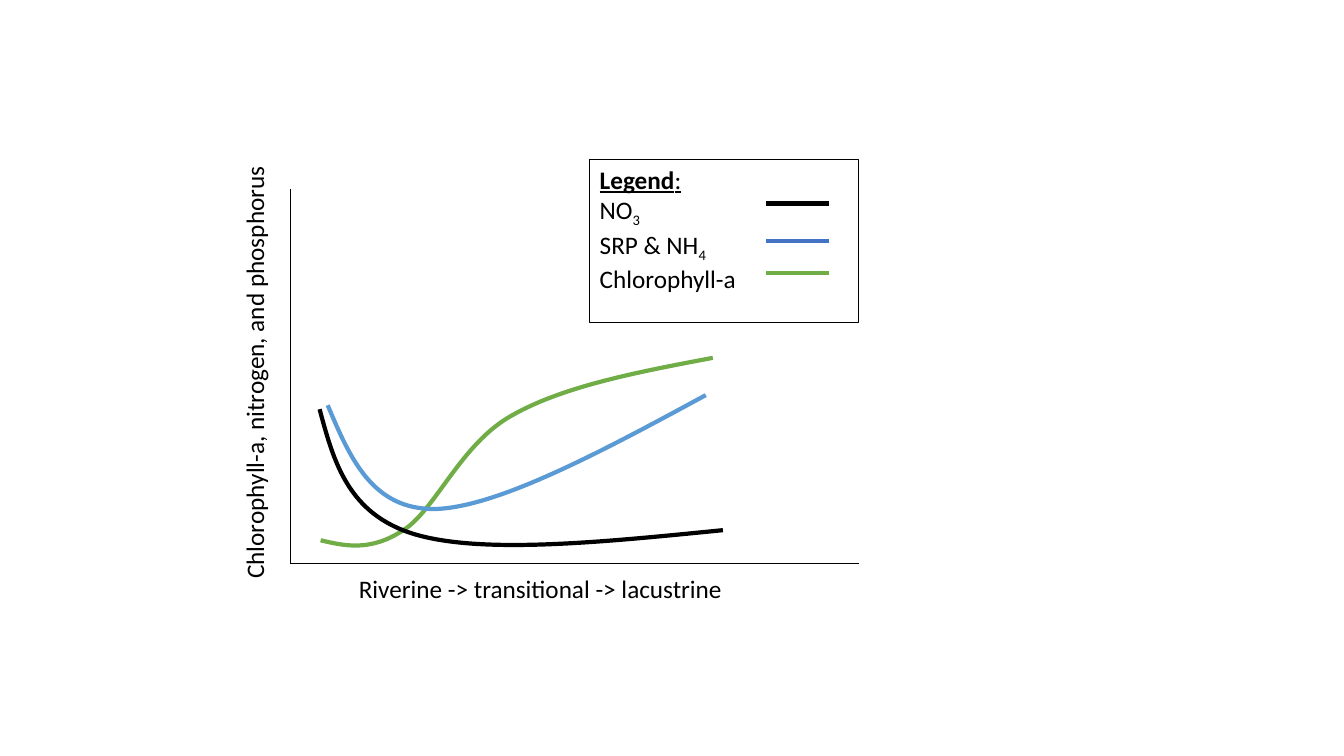
from lxml.etree import SubElement
from pptx import Presentation
from pptx.dml.color import RGBColor
from pptx.enum.shapes import MSO_CONNECTOR, MSO_SHAPE
from pptx.enum.text import MSO_ANCHOR, MSO_AUTO_SIZE, PP_ALIGN
from pptx.oxml.ns import qn
from pptx.util import Inches, Pt

COLORS = {
    "black": "000000",
    "white": "FFFFFF",
    "legend_blue": "4472C4",
    "curve_blue": "5B9BD5",
    "green": "70AD47",
}
FONT = "Calibri"
CURVE_WIDTH = 3
AXIS_WIDTH = 0.5
ORIGIN = (2.88, 5.59)
AXIS_TOP = 1.88
AXIS_RIGHT = 8.52
SWATCH_LEFT, SWATCH_RIGHT = 7.6, 8.22

LEGEND_LINES = [
    [("Legend", {"bold": True, "underline": True}), (":", {"underline": True})],
    [("NO", {}), ("3", {"baseline": -25})],
    [("SRP & NH", {}), ("4", {"baseline": -25})],
    [("Chlorophyll-a", {})],
]
SWATCHES = [(2.02, "black"), (2.39, "legend_blue"), (2.71, "green")]
CURVES = [
    ("green", [
        (3.18, 5.36), (3.43, 5.42), (3.68, 5.47), (4, 5.26), (4.32, 5.06),
        (4.57, 4.4), (5.08, 4.12), (5.59, 3.83), (6.33, 3.69), (7.07, 3.55)]),
    ("black", [
        (3.17, 4.06), (3.31, 4.58), (3.45, 5.1), (4.11, 5.3),
        (4.78, 5.5), (5.97, 5.38), (7.17, 5.26)]),
    ("curve_blue", [
        (3.25, 4.02), (3.47, 4.54), (3.69, 5.06), (4.32, 5.05),
        (4.94, 5.03), (5.97, 4.48), (7, 3.92)]),
]


def rgb(color):
    return RGBColor.from_string(COLORS[color])


def format_line(line, color, width):
    line.color.rgb = rgb(color)
    line.width = Pt(width)


def add_run(paragraph, text, size=18, color="black", bold=False,
            underline=False, baseline=0):
    run = paragraph.add_run()
    run.text = text
    run.font.name = FONT
    run.font.size = Pt(size)
    run.font.bold = bold
    run.font.underline = underline
    run.font.color.rgb = rgb(color)
    if baseline:
        run.font._element.set("baseline", str(baseline * 1000))


def fill_text(shape, lines, auto_size=MSO_AUTO_SIZE.SHAPE_TO_FIT_TEXT):
    frame = shape.text_frame
    frame.word_wrap = True
    frame.auto_size = auto_size
    frame.vertical_anchor = MSO_ANCHOR.TOP
    for index, runs in enumerate(lines):
        paragraph = frame.add_paragraph() if index else frame.paragraphs[0]
        paragraph.alignment = PP_ALIGN.LEFT
        for text, run_format in runs:
            add_run(paragraph, text, **run_format)


def add_box(shapes, left, top, width, height, outline=None):
    box = shapes.add_shape(
        MSO_SHAPE.RECTANGLE,
        *(Inches(value) for value in (left, top, width, height)))
    box.shadow.inherit = False
    box.fill.solid()
    box.fill.fore_color.rgb = rgb("white")
    if outline:
        format_line(box.line, outline, 0.75)
    else:
        box.line.fill.background()
    return box


def add_rotated_label(shapes, left, top, width, height):
    label = shapes.add_textbox(
        *(Inches(value) for value in (left, top, width, height)))
    label.rotation = 270
    return label


def add_line(shapes, start, end, color, width):
    connector = shapes.add_connector(
        MSO_CONNECTOR.STRAIGHT, *(Inches(value) for value in (*start, *end)))
    format_line(connector.line, color, width)
    SubElement(connector._element.spPr, qn("a:effectLst"))


def bend_segments(curve):
    outline = next(curve._element.iter(qn("a:path")))
    segments = outline.findall(qn("a:lnTo"))
    for first in range(0, len(segments), 3):
        bezier = SubElement(outline, qn("a:cubicBezTo"))
        for segment in segments[first:first + 3]:
            bezier.append(segment[0])
            outline.remove(segment)


def add_curve(shapes, color, controls):
    start, *others = [(Inches(x), Inches(y)) for x, y in controls]
    builder = shapes.build_freeform(*start)
    builder.add_line_segments(others, close=False)
    curve = builder.convert_to_shape()
    bend_segments(curve)
    curve.shadow.inherit = False
    curve.fill.background()
    format_line(curve.line, color, CURVE_WIDTH)


def main():
    presentation = Presentation()
    presentation.slide_width = Inches(13.33)
    presentation.slide_height = Inches(7.5)
    slide = presentation.slides.add_slide(presentation.slide_layouts[6])
    shapes = slide.shapes.add_group_shape().shapes

    add_line(shapes, (ORIGIN[0], AXIS_TOP), ORIGIN, "black", AXIS_WIDTH)
    add_line(shapes, (AXIS_RIGHT, ORIGIN[1]), ORIGIN, "black", AXIS_WIDTH)
    fill_text(add_box(shapes, 3.46, 5.64, 3.89, 0.4),
              [[("Riverine -> transitional -> lacustrine", {})]])
    fill_text(add_rotated_label(shapes, 0.02, 3.14, 5, 0.4),
              [[("Chlorophyll-a, nitrogen, and phosphorus", {})]])
    fill_text(add_box(shapes, 5.85, 1.58, 2.67, 1.62, outline="black"),
              LEGEND_LINES, auto_size=MSO_AUTO_SIZE.NONE)
    for y, color in SWATCHES:
        add_line(shapes, (SWATCH_LEFT, y), (SWATCH_RIGHT, y), color, CURVE_WIDTH)
    for color, controls in CURVES:
        add_curve(shapes, color, controls)

    presentation.save("out.pptx")


if __name__ == "__main__":
    main()
